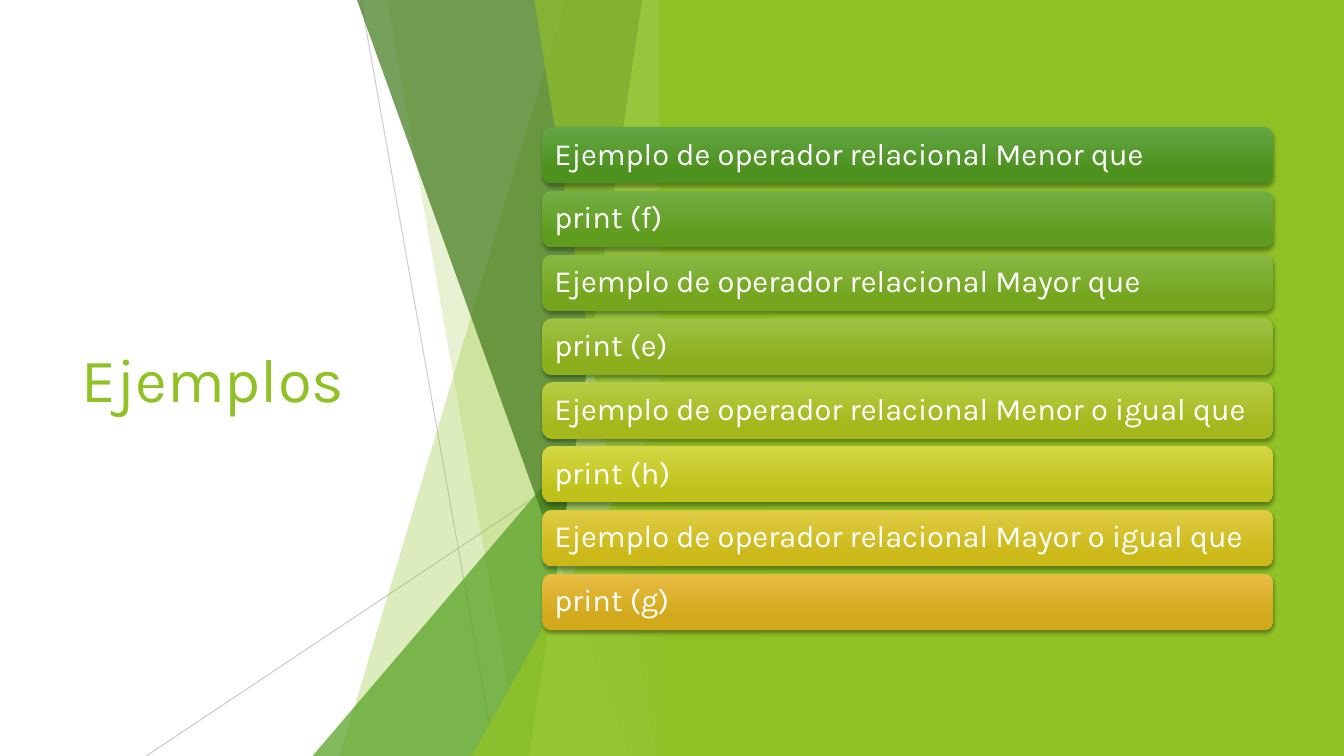
import pptx
import pptx.util
import pptx.dml.color
import pptx.enum.shapes
import pptx.enum.text
import pptx.oxml.ns
from lxml import etree

Inches, Pt = pptx.util.Inches, pptx.util.Pt
RGB = pptx.dml.color.RGBColor
qn = pptx.oxml.ns.qn

WIDTH, HEIGHT = 13.33, 7.5
FONT = "Karla"
WHITE = RGB(0xFF, 0xFF, 0xFF)
GRAY = RGB(0xBF, 0xBF, 0xBF)
LIME = RGB(0x90, 0xC2, 0x26)
PALE_LIME = RGB(0xC0, 0xE4, 0x74)
GREEN = RGB(0x54, 0xA0, 0x21)
DARK_GREEN = RGB(0x3F, 0x78, 0x19)

# Content: bar text, gradient top, gradient bottom
heading = "Ejemplos"
examples = [
    ("Ejemplo de operador relacional Menor que", "63A545", "4D921E"),
    ("print (f)", "74AE44", "5F9C1E"),
    ("Ejemplo de operador relacional Mayor que", "87B844", "74A51D"),
    ("print (e)", "9DC244", "8BAE1D"),
    ("Ejemplo de operador relacional Menor o igual que", "B7CC44", "A4B81C"),
    ("print (h)", "D4D643", "C0C21B"),
    ("Ejemplo de operador relacional Mayor o igual que", "E0CC43", "CCB919"),
    ("print (g)", "E7BC43", "D2A91B"),
]

# Decoration: thin lines as (from, to, opacity)
rays = [((3.58, 0), (4.91, HEIGHT), 75), ((6.66, 4.03), (1.45, HEIGHT), 80)]

# Facets share a right edge: (top-left x, top y, bottom-left x, colour, opacity)
FACET_RIGHT = 6.66
facets = [
    (5.61, 0, 3.37, LIME, 30),
    (3.84, 0, 5.16, LIME, 20),
    (FACET_RIGHT, 3.33, 3.1, GREEN, 72),
    (3.54, 0, 6.24, DARK_GREEN, 70),
    (6.37, 0, 5.25, PALE_LIME, 70),
    (5.3, 0, 6.51, LIME, 65),
    (FACET_RIGHT, 3.93, 4.68, LIME, 80),
]
PANEL_LEFT = 6.54

# Bar column
BAR_LEFT, BAR_WIDTH, BAR_HEIGHT = 5.38, 7.25, 0.56
FIRST_TOP, LAST_TOP = 1.26, 5.69
bar_pitch = (LAST_TOP - FIRST_TOP) / (len(examples) - 1)


def set_opacity(shape, percent):
    colour = next(shape._element.spPr.iter(qn("a:srgbClr")))
    etree.SubElement(colour, qn("a:alpha"), val=str(percent * 1000))


def add_drop_shadow(shape):
    shape.shadow.inherit = False
    effects = shape._element.spPr.find(qn("a:effectLst"))
    shadow = etree.SubElement(
        effects, qn("a:outerShdw"), blurRad=str(Pt(3)), dist=str(Pt(2)),
        dir="5400000", algn="ctr", rotWithShape="0")
    colour = etree.SubElement(shadow, qn("a:srgbClr"), val="000000")
    etree.SubElement(colour, qn("a:alpha"), val="35000")


def paint(shape, colour):
    shape.shadow.inherit = False
    shape.fill.solid()
    shape.fill.fore_color.rgb = colour
    shape.line.fill.background()


deck = pptx.Presentation()
deck.slide_width, deck.slide_height = Inches(WIDTH), Inches(HEIGHT)
slide = deck.slides.add_slide(deck.slide_layouts[5])
shapes = slide.shapes

# Title
title = shapes.title
title.left, title.top = Inches(0.71), Inches(1.51)
title.width, title.height = Inches(3.88), Inches(4.48)
title.text_frame.text = heading
title.text_frame.vertical_anchor = pptx.enum.text.MSO_ANCHOR.MIDDLE
title_line = title.text_frame.paragraphs[0]
title_line.alignment = pptx.enum.text.PP_ALIGN.LEFT
title_line.font.name, title_line.font.size = FONT, Pt(44)
title_line.font.color.rgb = LIME

# Thin lines
for start, end, opacity in rays:
    ray = shapes.add_connector(
        pptx.enum.shapes.MSO_CONNECTOR.STRAIGHT,
        *(Inches(value) for value in start + end))
    ray.line.color.rgb = GRAY
    ray.line.width = Pt(0.75)
    set_opacity(ray, opacity)
    etree.SubElement(ray._element.spPr, qn("a:effectLst"))

# Translucent facets, drawn in hundredths of an inch
for top_x, top_y, bottom_x, colour, opacity in facets:
    corners = [(top_x, top_y), (FACET_RIGHT, top_y),
               (FACET_RIGHT, HEIGHT), (bottom_x, HEIGHT)]
    points = [(x * 100, y * 100) for x, y in corners]
    builder = shapes.build_freeform(*points[0], scale=Inches(0.01))
    builder.add_line_segments(points[1:], close=True)
    facet = builder.convert_to_shape()
    paint(facet, colour)
    set_opacity(facet, opacity)

# Right panel
panel = shapes.add_shape(
    pptx.enum.shapes.MSO_SHAPE.RECTANGLE, Inches(PANEL_LEFT), 0,
    Inches(WIDTH - PANEL_LEFT), Inches(HEIGHT))
paint(panel, LIME)

# Example bars
for row, (wording, top_colour, bottom_colour) in enumerate(examples):
    bar = shapes.add_shape(
        pptx.enum.shapes.MSO_SHAPE.ROUNDED_RECTANGLE, Inches(BAR_LEFT),
        Inches(FIRST_TOP + row * bar_pitch), Inches(BAR_WIDTH), Inches(BAR_HEIGHT))
    bar.line.fill.background()
    bar.fill.gradient()
    bar.fill.gradient_angle = 270
    stops = zip(bar.fill.gradient_stops, (0, 0.78), (top_colour, bottom_colour))
    for stop, position, colour in stops:
        stop.position = position
        stop.color.rgb = RGB.from_string(colour)
    add_drop_shadow(bar)

    frame = bar.text_frame
    frame.text = wording
    frame.word_wrap = True
    frame.vertical_anchor = pptx.enum.text.MSO_ANCHOR.MIDDLE
    frame.margin_left = frame.margin_right = Inches(0.09)
    frame.margin_top = frame.margin_bottom = Inches(0.09)
    label = frame.paragraphs[0]
    label.alignment = pptx.enum.text.PP_ALIGN.LEFT
    label.line_spacing = 0.9
    label.font.name, label.font.size = FONT, Pt(22)
    label.font.color.rgb = WHITE

deck.save("out.pptx")
